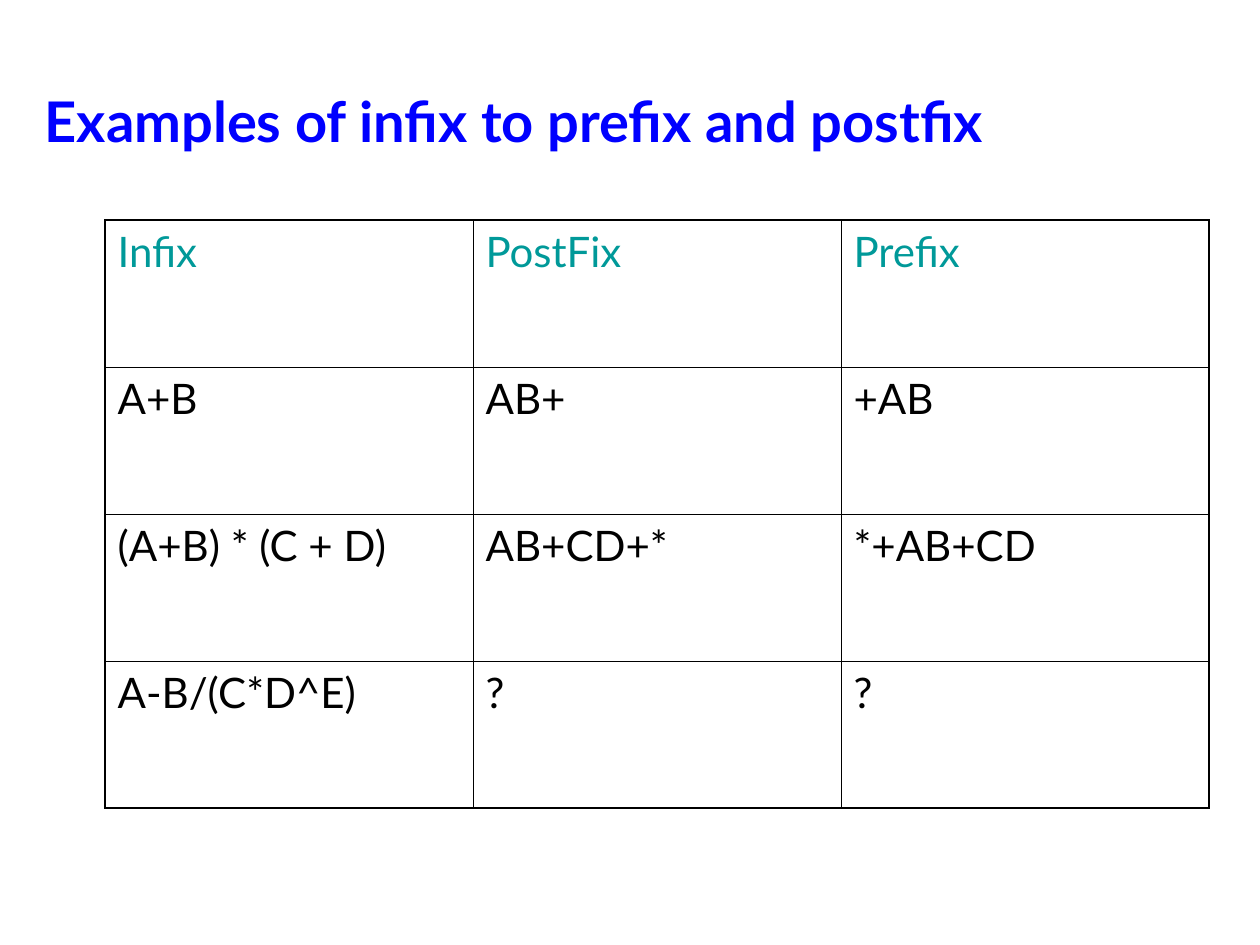
from dataclasses import dataclass

from lxml.etree import SubElement
from pptx import Presentation
from pptx.dml.color import RGBColor
from pptx.enum.text import MSO_ANCHOR, PP_ALIGN
from pptx.oxml.ns import qn
from pptx.util import Emu, Pt

EMU_PER_PX = 914400 / 126


@dataclass(frozen=True)
class Theme:
    font: str = "Lato"
    title_color: str = "0000FF"
    header_color: str = "009999"
    text_color: str = "000000"
    border_color: str = "000000"
    title_size: int = 32
    cell_size: int = 24
    outer_border: float = 1.08
    inner_border: float = 0.45


theme = Theme()


def px(length):
    return Emu(round(length * EMU_PER_PX))


def add_run(paragraph, text, size, color, bold=False):
    run = paragraph.add_run()
    run.text = text
    run.font.name = theme.font
    run.font.size = Pt(size)
    run.font.bold = bold
    run.font.color.rgb = RGBColor.from_string(color)


presentation = Presentation()
presentation.slide_width = px(1260)
presentation.slide_height = px(945)
slide = presentation.slides.add_slide(presentation.slide_layouts[5])

title = slide.shapes.title
title.left, title.top, title.width, title.height = px(32), px(73), px(1134), px(95)
title.text_frame.vertical_anchor = MSO_ANCHOR.MIDDLE
title_paragraph = title.text_frame.paragraphs[0]
title_paragraph.alignment = PP_ALIGN.LEFT
add_run(title_paragraph, "Examples of infix to prefix and postfix",
        theme.title_size, theme.title_color, bold=True)

notations = [
    ["Infix", "PostFix", "Prefix"],
    ["A+B", "AB+", "+AB"],
    ["(A+B) * (C + D)", "AB+CD+*", "*+AB+CD"],
    ["A-B/(C*D^E)", "?", "?"],
]
row_count, column_count = len(notations), len(notations[0])
column_width, row_height = 368, 147

table = slide.shapes.add_table(
    row_count, column_count, px(105), px(220),
    px(column_width * column_count), px(row_height * row_count)).table
table.first_row = False
table.horz_banding = False

for row_index, expressions in enumerate(notations):
    for column_index, expression in enumerate(expressions):
        cell = table.cell(row_index, column_index)
        color = theme.header_color if row_index == 0 else theme.text_color
        add_run(cell.text_frame.paragraphs[0], expression, theme.cell_size, color)

        on_outside = {
            "a:lnL": column_index == 0,
            "a:lnR": column_index == column_count - 1,
            "a:lnT": row_index == 0,
            "a:lnB": row_index == row_count - 1,
        }
        properties = cell._tc.get_or_add_tcPr()
        for side, outside in on_outside.items():
            width = theme.outer_border if outside else theme.inner_border
            line = SubElement(properties, qn(side), w=str(Pt(width)))
            fill = SubElement(line, qn("a:solidFill"))
            SubElement(fill, qn("a:srgbClr"), val=theme.border_color)
        cell.fill.background()

presentation.save("out.pptx")
